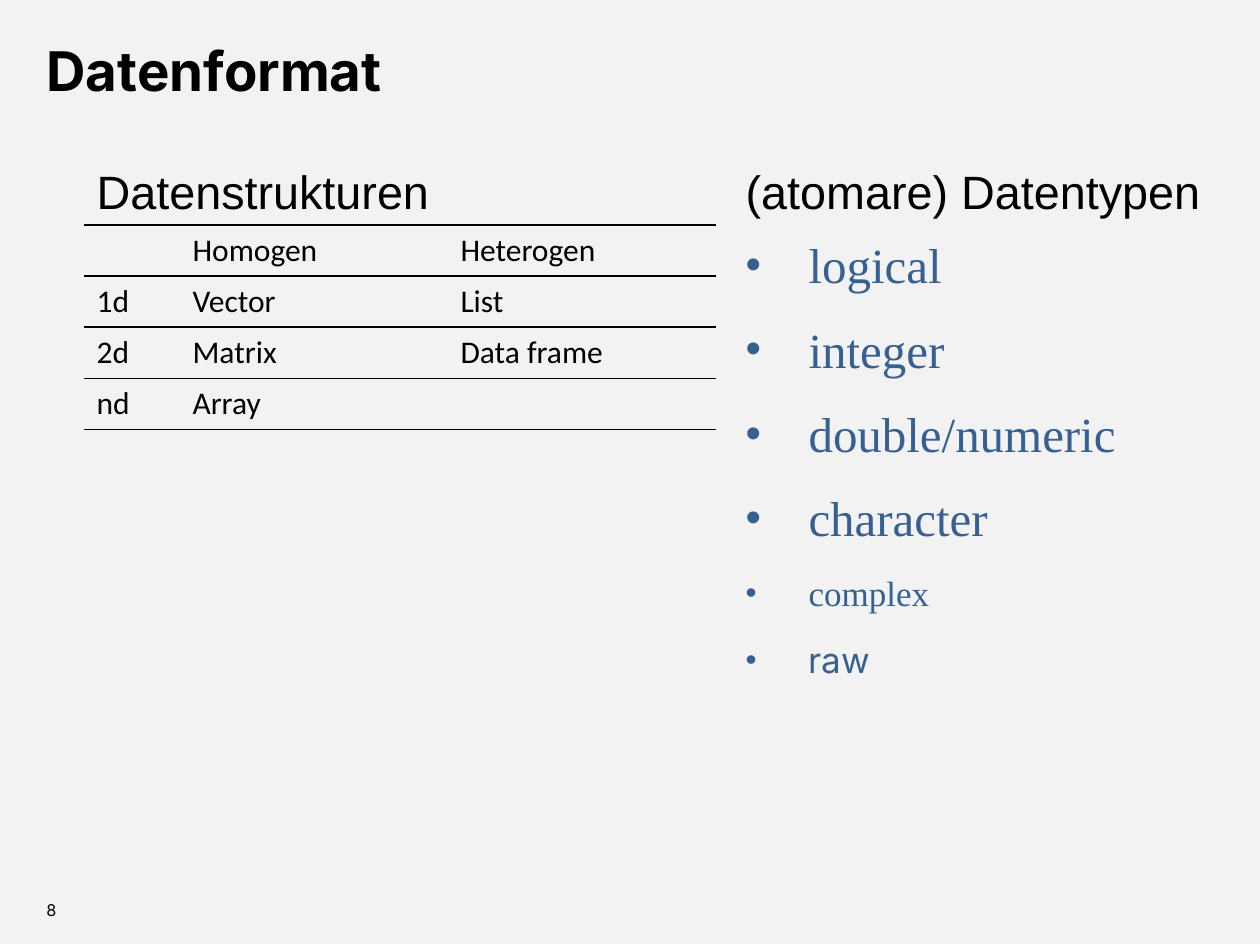
import dataclasses

import lxml.etree
import pptx
import pptx.dml.color
import pptx.enum.shapes
import pptx.enum.text
import pptx.oxml.ns
import pptx.util

ANCHOR = pptx.enum.text.MSO_ANCHOR
PIXEL = 914400 / 126
NO_STYLE = "{2D5ABB26-0587-4C30-8999-92F81FD0307C}"


@dataclasses.dataclass(frozen=True)
class Theme:
    ground: str = "F2F2F2"
    ink: str = "000000"
    accent: str = "376092"
    display: str = "Inter"
    heading: str = "Arial"
    serif: str = "Times New Roman"
    cell: str = "Calibri"
    title_size: float = 31.2
    heading_size: float = 26.7
    list_size: float = 28
    minor_size: float = 20
    cell_size: float = 18
    number_size: float = 9.3
    space_before: float = 13.3


THEME = Theme()


def px(length):
    return pptx.util.Emu(round(length * PIXEL))


def add_xml(parent, tag, **attributes):
    return lxml.etree.SubElement(parent, pptx.oxml.ns.qn(tag), attributes)


def place(shape, box):
    shape.left, shape.top, shape.width, shape.height = map(px, box)


def set_frame(shape, anchor):
    frame = shape.text_frame
    frame.word_wrap = True
    frame.auto_size = pptx.enum.text.MSO_AUTO_SIZE.NONE
    frame.vertical_anchor = anchor
    return frame


def add_span(para, text, font, size, color, bold=False):
    para.alignment = pptx.enum.text.PP_ALIGN.LEFT
    span = para.add_run()
    span.text = text
    span.font.name = font
    span.font.size = pptx.util.Pt(size)
    span.font.bold = bold
    span.font.color.rgb = pptx.dml.color.RGBColor.from_string(color)


def add_ground(page, box):
    ground = page.shapes.add_shape(
        pptx.enum.shapes.MSO_SHAPE.RECTANGLE, *map(px, box))
    ground.shadow.inherit = False
    ground.fill.solid()
    ground.fill.fore_color.rgb = pptx.dml.color.RGBColor.from_string(THEME.ground)
    ground.line.fill.background()
    page.shapes.element.insert(2, ground.element)


def fill_title(shape, box, text):
    place(shape, box)
    para = set_frame(shape, ANCHOR.MIDDLE).paragraphs[0]
    add_span(para, text, THEME.display, THEME.title_size, THEME.ink, True)


def fill_heading(shape, box, text):
    place(shape, box)
    para = set_frame(shape, ANCHOR.BOTTOM).paragraphs[0]
    para.space_before = pptx.util.Pt(THEME.space_before)
    add_span(para, text, THEME.heading, THEME.heading_size, THEME.ink)


def set_bullet(para, indent):
    properties = para._p.get_or_add_pPr()
    properties.set("marL", str(px(indent)))
    properties.set("indent", str(-px(indent)))
    add_xml(properties, "a:buSzPct", val="90000")
    add_xml(properties, "a:buFont", typeface=THEME.heading)
    add_xml(properties, "a:buChar", char="•")


def fill_list(shape, box, items):
    place(shape, box)
    frame = set_frame(shape, ANCHOR.TOP)
    for index, (text, font, size) in enumerate(items):
        para = frame.add_paragraph() if index else frame.paragraphs[0]
        para.line_spacing = 1.04
        para.space_before = pptx.util.Pt(THEME.space_before)
        set_bullet(para, 63)
        add_span(para, text, font, size, THEME.accent)


def add_rule(cell, side):
    line = add_xml(cell._tc.get_or_add_tcPr(), side, w=str(pptx.util.Pt(1)))
    add_xml(add_xml(line, "a:solidFill"), "a:srgbClr", val=THEME.ink)


def add_structures(page, box, widths, rows, ruled_above):
    grid = page.shapes.add_table(len(rows), len(widths), *map(px, box)).table
    grid.first_row = grid.horz_banding = False
    grid._tbl.tblPr.find(pptx.oxml.ns.qn("a:tableStyleId")).text = NO_STYLE
    for column, width in zip(grid.columns, widths):
        column.width = px(width)
    for row_index, texts in enumerate(rows):
        for column_index, text in enumerate(texts):
            cell = grid.cell(row_index, column_index)
            if row_index in ruled_above:
                add_rule(cell, "a:lnT")
            if row_index + 1 in ruled_above:
                add_rule(cell, "a:lnB")
            cell.fill.background()
            if text:
                add_span(cell.text_frame.paragraphs[0], text,
                         THEME.cell, THEME.cell_size, THEME.ink)


def add_page_number(page, box, text):
    number = page.shapes.add_textbox(*map(px, box))
    para = set_frame(number, ANCHOR.MIDDLE).paragraphs[0]
    add_span(para, text, THEME.display, THEME.number_size, THEME.ink)


def build_comparison(deck):
    page = deck.slides.add_slide(deck.slide_layouts[4])
    title, left_heading, left_body, right_heading, right_body = page.placeholders
    left_body.element.getparent().remove(left_body.element)
    add_ground(page, (0, 0, 1260, 944))
    fill_title(title, (34, 33, 1192, 73), "Datenformat")
    fill_heading(left_heading, (84, 137, 634, 88), "Datenstrukturen")
    fill_heading(right_heading, (733, 137, 498, 88), "(atomare) Datentypen")
    add_structures(page, (84, 225, 632, 204), (96, 268, 268), (
        ("", "Homogen", "Heterogen"),
        ("1d", "Vector", "List"),
        ("2d", "Matrix", "Data frame"),
        ("nd", "Array", ""),
    ), (0, 1, 2, 4))
    major = ("logical", "integer", "double/numeric", "character")
    fill_list(right_body, (733, 226, 498, 582), (
        *((text, THEME.serif, THEME.list_size) for text in major),
        ("complex", THEME.serif, THEME.minor_size),
        ("raw", THEME.display, THEME.minor_size),
    ))
    add_page_number(page, (34, 902, 294, 16), "8")


deck = pptx.Presentation()
deck.slide_width, deck.slide_height = px(1260), px(945)
build_comparison(deck)
deck.save("out.pptx")
